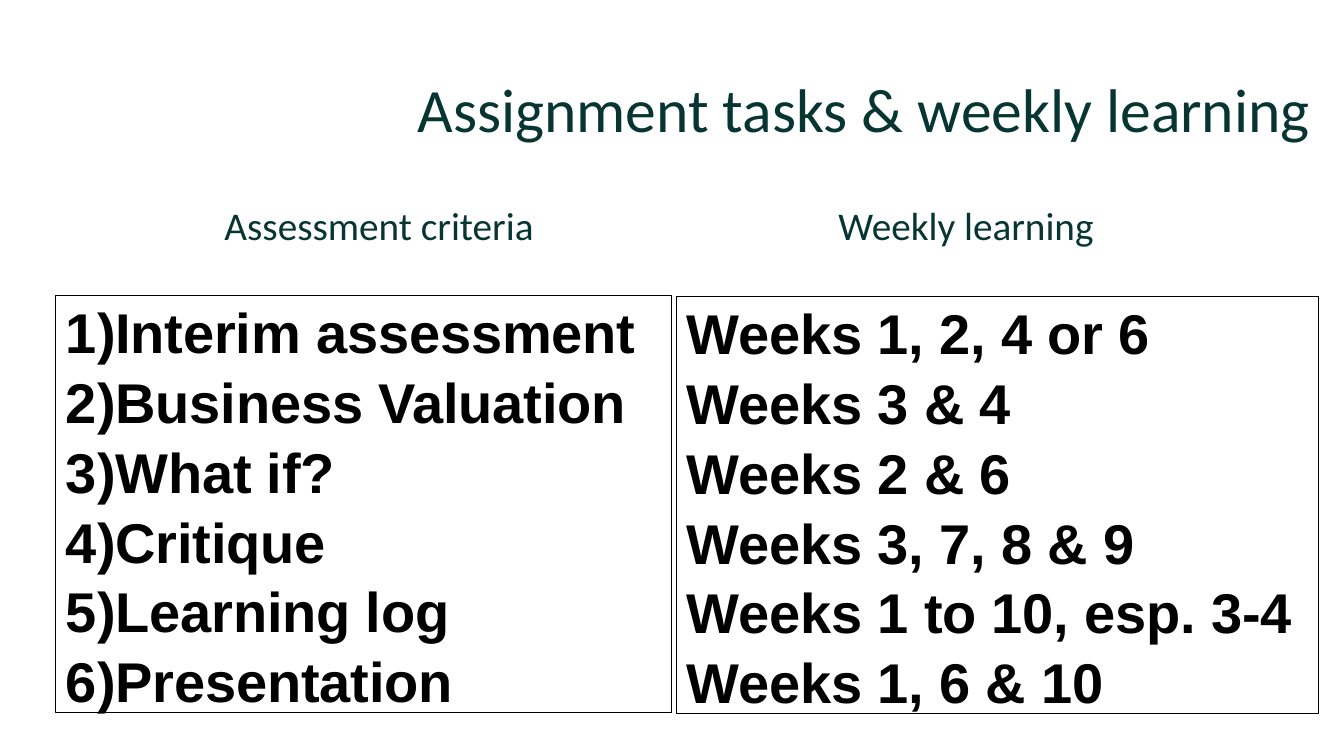
from lxml.etree import SubElement
from pptx import Presentation
from pptx.dml.color import RGBColor
from pptx.enum.shapes import MSO_SHAPE
from pptx.enum.text import MSO_ANCHOR, PP_ALIGN
from pptx.oxml.ns import qn
from pptx.util import Pt

EMU_PER_PX = 914400 / 100.8
COLORS = {"heading": "063532", "ink": "000000", "paper": "FFFFFF"}
TASKS = ["Interim assessment", "Business Valuation", "What if?",
         "Critique", "Learning log", "Presentation"]
WEEKS = ["Weeks 1, 2, 4 or 6", "Weeks 3 & 4", "Weeks 2 & 6",
         "Weeks 3, 7, 8 & 9", "Weeks 1 to 10, esp. 3-4", "Weeks 1, 6 & 10"]


def px(length):
    return round(length * EMU_PER_PX)


def color(name):
    return RGBColor.from_string(COLORS[name])


def style_font(font, name, size, color_name, bold=False):
    font.name = name
    font.size = Pt(size)
    font.bold = bold
    font.color.rgb = color(color_name)


def add_heading(slide, box, text, size, align, anchor=MSO_ANCHOR.TOP, before=0):
    heading = slide.shapes.add_textbox(*map(px, box))
    frame = heading.text_frame
    frame.word_wrap = True
    frame.vertical_anchor = anchor
    frame.text = text
    line = frame.paragraphs[0]
    line.alignment = align
    line.line_spacing = 0.9
    line.space_before = Pt(before)
    style_font(line.runs[0].font, "Calibri", size, "heading")


def number_line(line):
    properties = line._p.get_or_add_pPr()
    properties.set("marL", str(px(38)))
    properties.set("indent", str(-px(38)))
    SubElement(properties, qn("a:buFont"), typeface="+mj-lt")
    SubElement(properties, qn("a:buAutoNum"), type="arabicParenR")


def add_panel(slide, box, entries, numbered=False):
    panel = slide.shapes.add_shape(MSO_SHAPE.RECTANGLE, *map(px, box))
    panel.shadow.inherit = False
    panel.fill.solid()
    panel.fill.fore_color.rgb = color("paper")
    panel.line.color.rgb = color("ink")
    panel.line.width = Pt(0.75)
    frame = panel.text_frame
    frame.word_wrap = True
    frame.vertical_anchor = MSO_ANCHOR.MIDDLE
    frame.text = "\n".join(entries)
    for line in frame.paragraphs:
        line.alignment = PP_ALIGN.JUSTIFY
        line.line_spacing = 1.04
        if numbered:
            number_line(line)
        font = line.runs[0].font
        style_font(font, "Arial", 40, "ink", bold=True)
        font._element.set("spc", "-10")


def build_assignment_slide(slide, box):
    left, top, width, height = box
    add_heading(slide, (left + 93, top + 40, 1228, 146),
                "Assignment tasks & weekly learning", 44,
                PP_ALIGN.RIGHT, MSO_ANCHOR.MIDDLE)
    columns = [
        ("Assessment criteria", 93, (56, 296, 616, 417), TASKS, True),
        ("Weekly learning", 680, (677, 297, 642, 417), WEEKS, False),
    ]
    for title, title_x, (x, y, w, h), entries, numbered in columns:
        add_heading(slide, (left + title_x, top + 202, 572, 62), title, 28,
                    PP_ALIGN.CENTER, before=10)
        add_panel(slide, (left + x, top + y, w, h), entries, numbered)


def main():
    deck = Presentation()
    deck.slide_width, deck.slide_height = px(1344), px(756)
    slide = deck.slides.add_slide(deck.slide_layouts[6])
    build_assignment_slide(slide, (0, 0, 1344, 756))
    deck.save("out.pptx")


if __name__ == "__main__":
    main()
